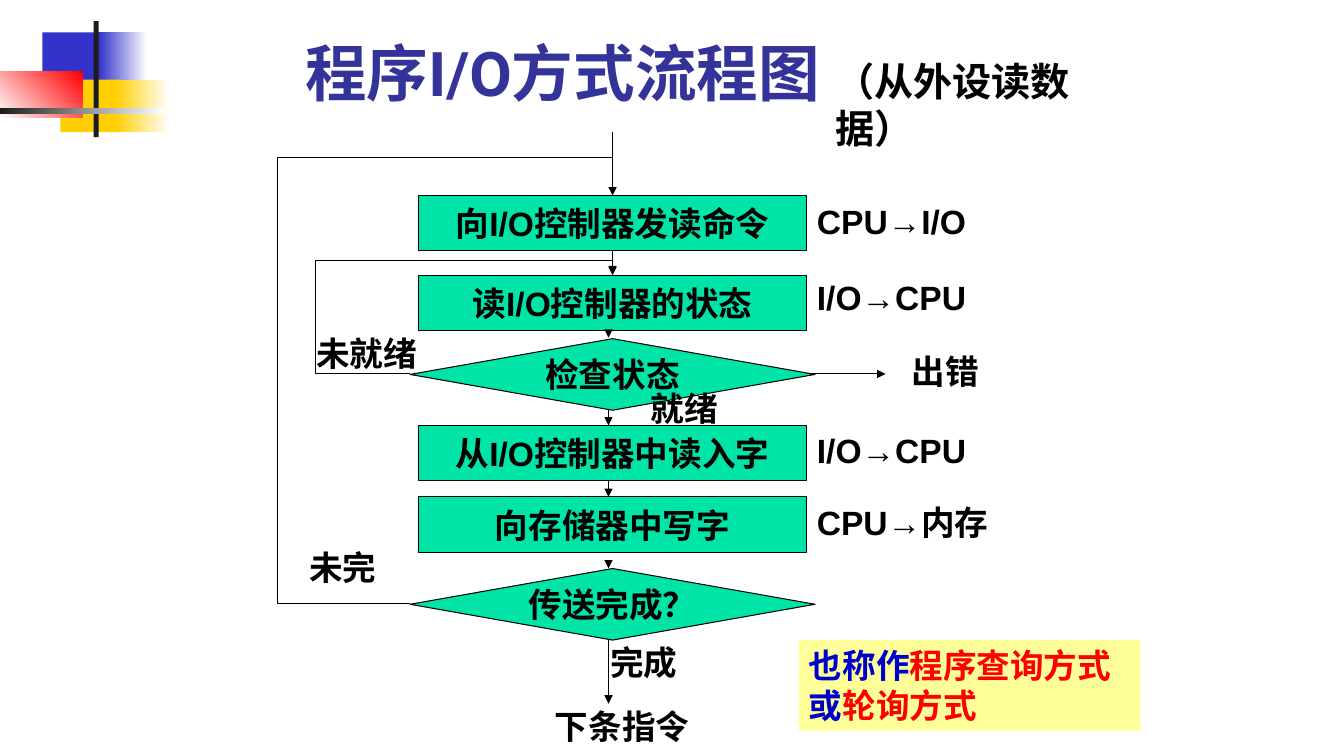
from dataclasses import dataclass

from lxml.etree import SubElement
from pptx import Presentation
from pptx.dml.color import RGBColor
from pptx.enum.shapes import MSO_CONNECTOR, MSO_SHAPE
from pptx.enum.text import MSO_ANCHOR, PP_ALIGN
from pptx.oxml.ns import qn
from pptx.util import Inches, Pt

BLACK = RGBColor(0x00, 0x00, 0x00)
WHITE = RGBColor(0xFF, 0xFF, 0xFF)
CHARCOAL = RGBColor(0x1C, 0x1C, 0x1C)
BLUE = RGBColor(0x33, 0x33, 0xCC)
GOLD = RGBColor(0xFF, 0xCF, 0x01)
RED = RGBColor(0xFF, 0x00, 0x00)
TITLE_BLUE = RGBColor(0x33, 0x33, 0x99)
GREEN = RGBColor(0x00, 0xE4, 0xA8)
NOTE_YELLOW = RGBColor(0xFF, 0xFF, 0x99)
NOTE_BLUE = RGBColor(0x00, 0x00, 0xCC)

LINE_WIDTH = Pt(0.74)
MAIN_X = 6.08
FLOW_X = 6.04
DIAMOND_LEFT = 4.07
NOTE_LEFT = 8.01


@dataclass
class Block:
    """A decorative bar; a second colour makes it a gradient."""
    left: float
    top: float
    width: float
    height: float
    color: RGBColor
    fade_to: RGBColor | None = None
    angle: int = 0


@dataclass
class Step:
    """A flowchart step, either an action or a decision."""
    top: float
    text: str
    decision: bool = False


@dataclass
class Label:
    """Free text beside the flowchart."""
    left: float
    top: float
    width: float
    text: str
    height: float = 0.5
    size: float = 24
    font: str = "Arial"
    color: RGBColor = BLACK
    anchor: MSO_ANCHOR = MSO_ANCHOR.TOP
    wrap: bool = True


@dataclass
class Flow:
    """A straight line of the flowchart."""
    x1: float
    y1: float
    x2: float
    y2: float
    arrow: bool = True


@dataclass
class Loop:
    """A path back from a decision, around the left side."""
    start_y: float
    end_y: float
    left_x: float
    upper_y: float


BLOCKS = [
    Block(0.42, 0.32, 0.64, 0.52, BLUE),
    Block(0.98, 0.32, 0.48, 0.52, BLUE, WHITE),
    Block(0.6, 0.79, 0.61, 0.52, GOLD),
    Block(1.14, 0.79, 0.54, 0.52, GOLD, WHITE),
    Block(0, 0.71, 0.82, 0.46, WHITE, RED, 45),
    Block(0.93, 0.21, 0.05, 1.15, CHARCOAL),
    Block(0, 1.07, 1.63, 0.06, CHARCOAL, WHITE),
]
STEPS = [
    Step(1.94, "向I/O控制器发读命令"),
    Step(2.73, "读I/O控制器的状态"),
    Step(4.22, "从I/O控制器中读入字"),
    Step(4.93, "向存储器中写字"),
    Step(3.36, "检查状态", decision=True),
    Step(5.64, "传送完成？", decision=True),
]
FLOWS = [
    Flow(NOTE_LEFT, 3.71, 8.79, 3.71),
    Flow(MAIN_X, 2.49, MAIN_X, 2.73),
    Flow(FLOW_X, 3.28, FLOW_X, 3.35),
    Flow(FLOW_X, 4.06, FLOW_X, 4.22),
    Flow(FLOW_X, 4.77, FLOW_X, 4.93),
    Flow(FLOW_X, 5.56, FLOW_X, 5.64),
    Flow(FLOW_X, 6.35, FLOW_X, 6.98),
    Flow(MAIN_X, 1.86, MAIN_X, 1.31, arrow=False),
]
LOOPS = [Loop(5.99, 1.94, 2.75, 1.56), Loop(3.71, 2.72, 3.13, 2.58)]
LABELS = [
    Label(2.93, 0.28, 8.52, "程序I/O方式流程图", 0.85, 44, "Roboto",
          TITLE_BLUE, MSO_ANCHOR.BOTTOM),
    Label(8.95, 3.43, 0.94, "出错"),
    Label(5.96, 6.32, 0.94, "完成"),
    Label(NOTE_LEFT, 1.94, 1.89, "CPU→I/O"),
    Label(NOTE_LEFT, 2.7, 1.89, "I/O→CPU"),
    Label(NOTE_LEFT, 4.22, 1.89, "I/O→CPU"),
    Label(NOTE_LEFT, 4.93, 1.97, "CPU→内存", 0.9),
    Label(2.97, 5.38, 0.94, "未完"),
    Label(3.04, 3.25, 1.26, "未就绪"),
    Label(5.41, 6.95, 1.57, "下条指令"),
    Label(6.36, 3.8, 1.1, "就绪"),
    Label(8.19, 0.52, 3.3, "（从外设读数据）", 0.57, 28, wrap=False),
]
REMARK = [("也称作", NOTE_BLUE), ("程序查询方式", RED),
          ("或", NOTE_BLUE), ("轮询方式", RED)]


def style_run(run, size: float = 24, font: str = "Arial", color: RGBColor = BLACK) -> None:
    """Make a run bold in the given size, font and colour."""
    run.font.size, run.font.name, run.font.bold = Pt(size), font, True
    run.font.color.rgb = color


def add_filled(slide, kind, left: float, top: float, width: float, height: float,
               color: RGBColor):
    """Add a flat shape without outline or shadow."""
    shape = slide.shapes.add_shape(kind, Inches(left), Inches(top),
                                   Inches(width), Inches(height))
    shape.shadow.inherit = False
    shape.fill.solid()
    shape.fill.fore_color.rgb = color
    shape.line.fill.background()
    return shape


def draw_block(slide, block: Block) -> None:
    """Draw one decorative bar."""
    shape = add_filled(slide, MSO_SHAPE.RECTANGLE, block.left, block.top,
                       block.width, block.height, block.color)
    if block.fade_to is not None:
        shape.fill.gradient()
        shape.fill.gradient_angle = block.angle
        for stop, color in zip(shape.fill.gradient_stops, (block.color, block.fade_to)):
            stop.color.rgb = color


def draw_step(slide, step: Step) -> None:
    """Draw an action box or a decision diamond."""
    kind, left, width, height = (
        (MSO_SHAPE.DIAMOND, DIAMOND_LEFT, 4.02, 0.71) if step.decision
        else (MSO_SHAPE.RECTANGLE, 4.15, 3.86, 0.55))
    shape = add_filled(slide, kind, left, step.top, width, height, GREEN)
    shape.line.color.rgb, shape.line.width = BLACK, LINE_WIDTH
    frame = shape.text_frame
    frame.text = step.text
    frame.word_wrap, frame.vertical_anchor = False, MSO_ANCHOR.MIDDLE
    frame.paragraphs[0].alignment = PP_ALIGN.CENTER
    style_run(frame.paragraphs[0].runs[0])


def draw_flow(slide, flow: Flow, kind: MSO_CONNECTOR = MSO_CONNECTOR.STRAIGHT):
    """Draw a connector, with an arrowhead at its end if wanted."""
    connector = slide.shapes.add_connector(
        kind, Inches(flow.x1), Inches(flow.y1), Inches(flow.x2), Inches(flow.y2))
    connector.line.color.rgb, connector.line.width = BLACK, LINE_WIDTH
    if flow.arrow:
        SubElement(connector.line._get_or_add_ln(), qn("a:tailEnd"), type="triangle")
    SubElement(connector._element.spPr, qn("a:effectLst"))
    return connector


def draw_loop(slide, loop: Loop) -> None:
    """Draw a return path as a connector with three bends."""
    connector = draw_flow(slide, Flow(DIAMOND_LEFT, loop.start_y, MAIN_X, loop.end_y),
                          MSO_CONNECTOR.ELBOW)
    geometry = connector._element.spPr.find(qn("a:prstGeom"))
    geometry.set("prst", "bentConnector4")
    guides = geometry.find(qn("a:avLst"))
    ratios = ((loop.left_x - DIAMOND_LEFT) / (MAIN_X - DIAMOND_LEFT),
              (loop.start_y - loop.upper_y) / (loop.start_y - loop.end_y))
    for number, ratio in enumerate(ratios, 1):
        SubElement(guides, qn("a:gd"), name=f"adj{number}",
                   fmla=f"val {round(ratio * 100000)}")


def draw_label(slide, label: Label) -> None:
    """Write one label."""
    frame = slide.shapes.add_textbox(Inches(label.left), Inches(label.top),
                                     Inches(label.width), Inches(label.height)).text_frame
    frame.text = label.text
    frame.word_wrap, frame.vertical_anchor = label.wrap, label.anchor
    style_run(frame.paragraphs[0].runs[0], label.size, label.font, label.color)


def draw_remark(slide) -> None:
    """Draw the yellow remark with its coloured terms."""
    shape = add_filled(slide, MSO_SHAPE.RECTANGLE, 7.93, 6.35, 3.39, 0.9, NOTE_YELLOW)
    frame = shape.text_frame
    frame.word_wrap, frame.vertical_anchor = True, MSO_ANCHOR.TOP
    paragraph = frame.paragraphs[0]
    paragraph.alignment = PP_ALIGN.LEFT
    for text, color in REMARK:
        run = paragraph.add_run()
        run.text = text
        style_run(run, color=color)


prs = Presentation()
prs.slide_width, prs.slide_height = Inches(13.34), Inches(7.5)
flowchart = prs.slides.add_slide(prs.slide_layouts[6])
for draw, parts in ((draw_block, BLOCKS), (draw_step, STEPS), (draw_flow, FLOWS),
                    (draw_loop, LOOPS), (draw_label, LABELS)):
    for part in parts:
        draw(flowchart, part)
draw_remark(flowchart)
prs.save("out.pptx")
